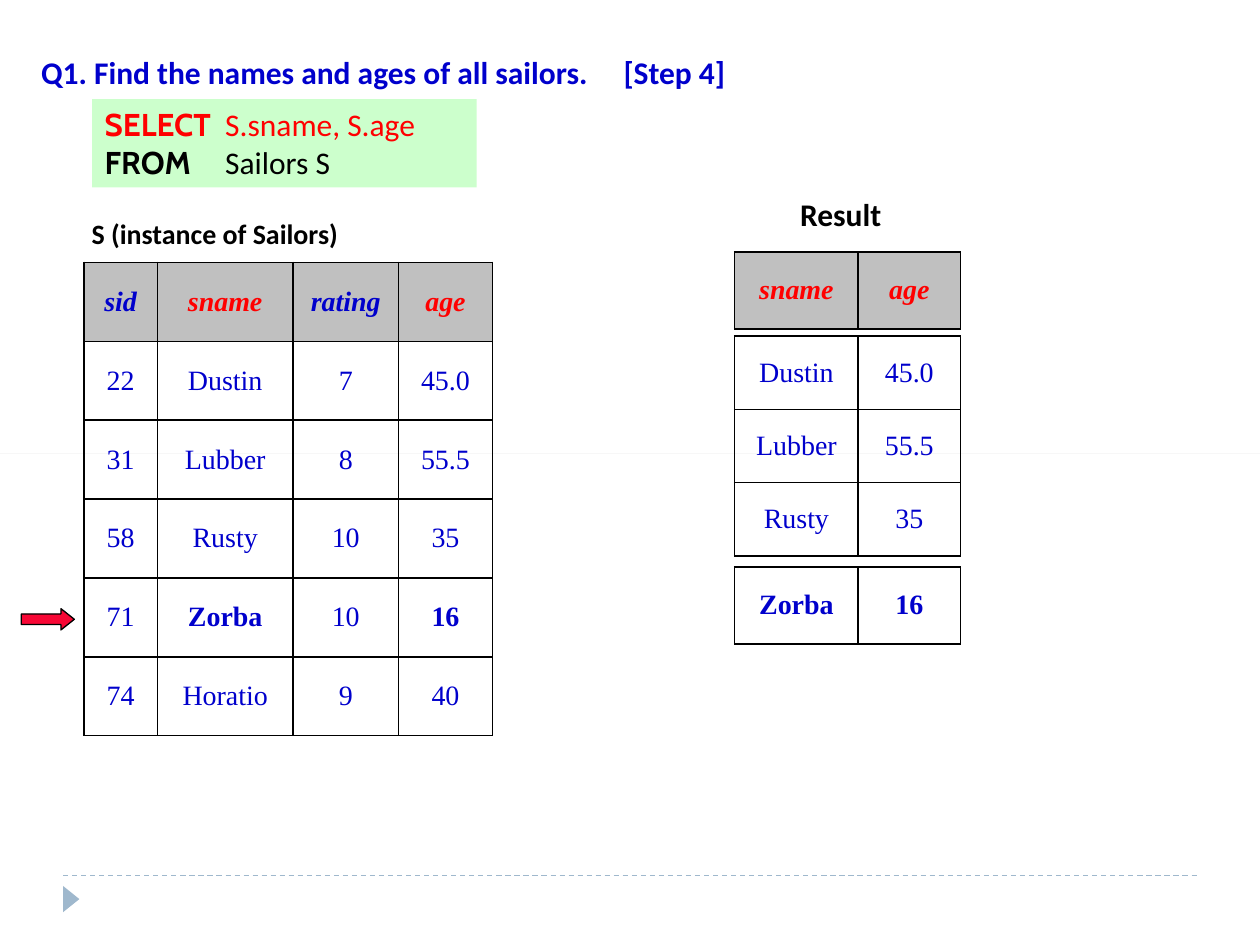
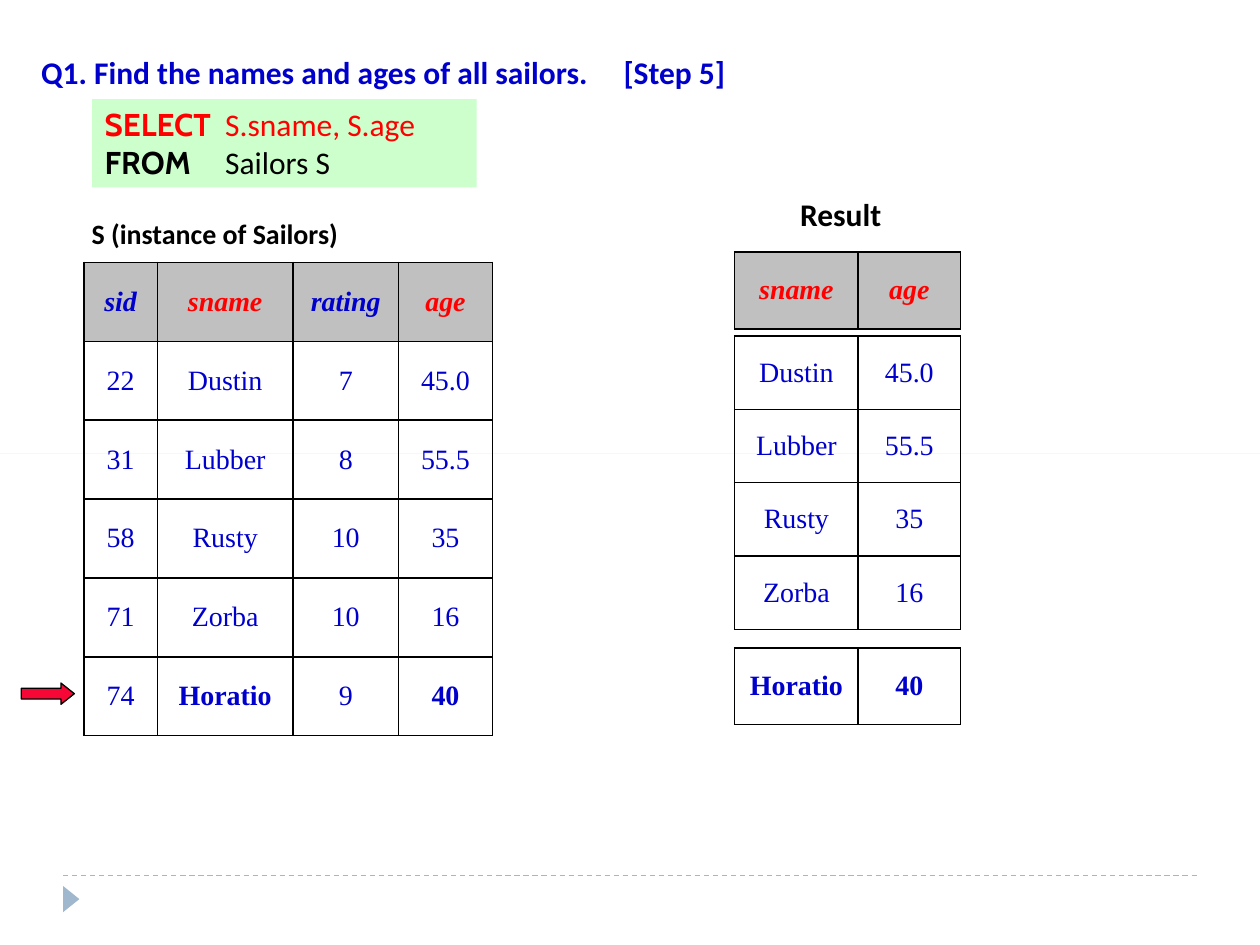
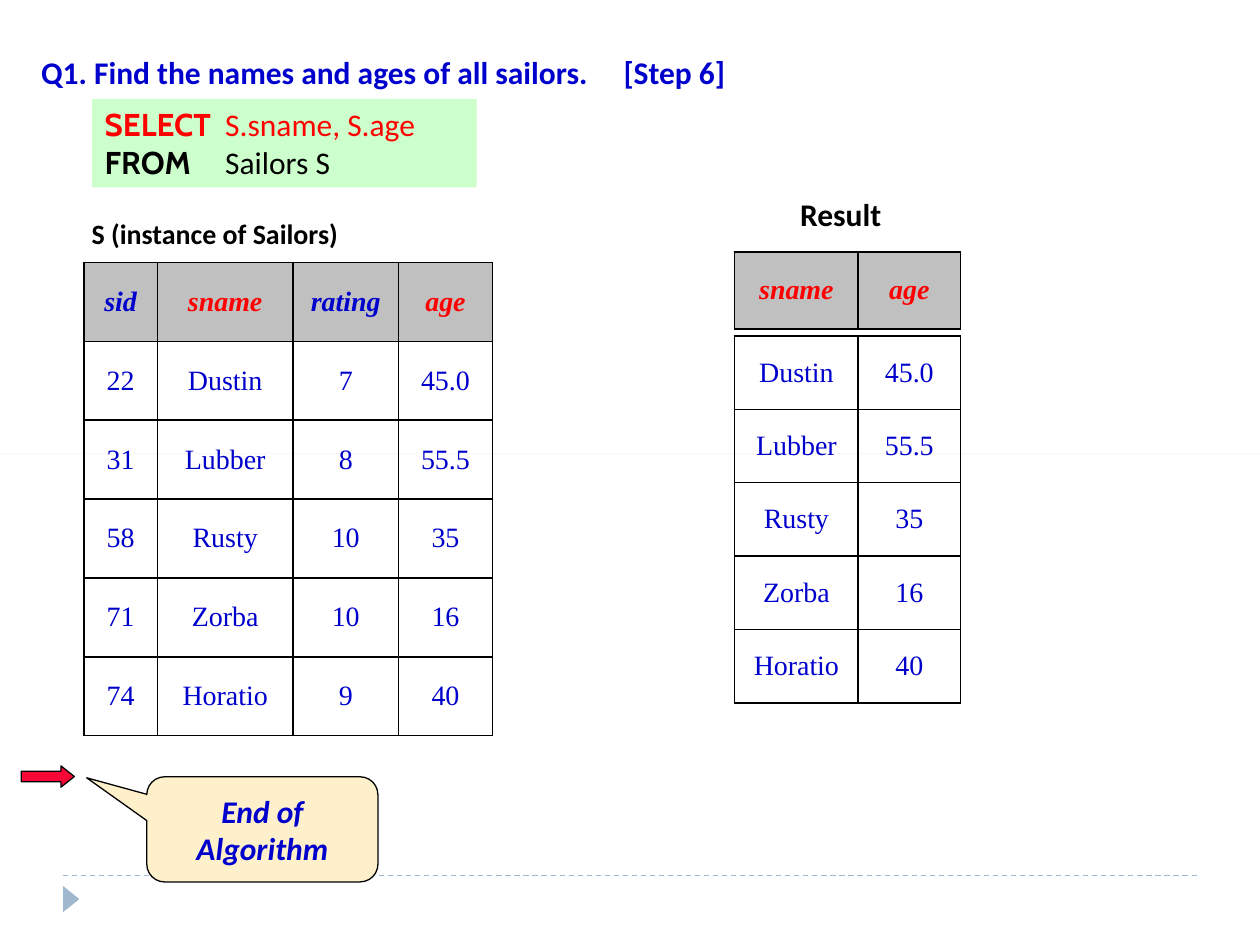
from lxml import etree
from pptx import Presentation
from pptx.dml.color import RGBColor
from pptx.enum.dml import MSO_LINE
from pptx.enum.shapes import MSO_CONNECTOR, MSO_SHAPE
from pptx.enum.text import MSO_ANCHOR, PP_ALIGN
from pptx.oxml.ns import qn
from pptx.util import Cm, Pt

STRAIGHT = MSO_CONNECTOR.STRAIGHT
DASH = MSO_LINE.DASH
RECTANGLE = MSO_SHAPE.RECTANGLE
TRIANGLE = MSO_SHAPE.ISOSCELES_TRIANGLE
RIGHT_ARROW = MSO_SHAPE.RIGHT_ARROW
CALLOUT = MSO_SHAPE.ROUNDED_RECTANGULAR_CALLOUT
TOP, MIDDLE = MSO_ANCHOR.TOP, MSO_ANCHOR.MIDDLE
LEFT, CENTER = PP_ALIGN.LEFT, PP_ALIGN.CENTER

BLUE, RED, BLACK = "0000CC", "FF0000", "000000"
GRAY, STEEL, GREEN = "C0C0C0", "9FB8CD", "CCFFCC"
ARROW_RED, CREAM = "F70735", "FDF0CA"
BODY, KEYWORD, TABLE = "Calibri", "Cabin", "Times New Roman"

COLUMNS = ["sid", "sname", "rating", "age"]
SELECTED = ["sname", "age"]
SAILORS = [
    ["22", "Dustin", "7", "45.0"],
    ["31", "Lubber", "8", "55.5"],
    ["58", "Rusty", "10", "35"],
    ["71", "Zorba", "10", "16"],
    ["74", "Horatio", "9", "40"],
]
SAILORS_WIDTHS = [1.48, 2.74, 2.12, 1.9]
RESULT_WIDTHS = [2.49, 2.06]
RESULT_LEFT = 14.81
HEADER_HEIGHT, RESULT_HEIGHT, SAILORS_HEIGHT = 1.55, 1.48, 1.59

# Step number, top of the row pointer, top of the newly added result row
STEPS = [(4, 12.27, 11.43), (5, 13.77, 13.06), (6, 15.44, None)]


def rgb(color):
    return RGBColor.from_string(color)


def project(sailor):
    return [sailor[COLUMNS.index(name)] for name in SELECTED]


def add_tab_stop(paragraph, position):
    stops = etree.SubElement(paragraph._p.get_or_add_pPr(), qn("a:tabLst"))
    etree.SubElement(stops, qn("a:tab"), pos=str(Cm(position)), algn="l")


def add_borders(cell):
    properties = cell._tc.get_or_add_tcPr()
    for side in ("a:lnL", "a:lnR", "a:lnT", "a:lnB"):
        border = etree.SubElement(properties, qn(side), w=str(Pt(1)))
        fill = etree.SubElement(border, qn("a:solidFill"))
        etree.SubElement(fill, qn("a:srgbClr"), val=BLACK)


class Deck:
    def __init__(self):
        self.presentation = Presentation()
        self.presentation.slide_width = Cm(25.4)
        self.presentation.slide_height = Cm(19.05)
        self.slide = None

    def new_slide(self):
        blank = self.presentation.slide_layouts[6]
        self.slide = self.presentation.slides.add_slide(blank)
        self.dashed_line(1.27, 24.13, 17.65)
        self.shape(TRIANGLE, (1.17, 17.96, 0.53, 0.33), STEEL).rotation = 90
        self.shape(RECTANGLE, (0, 9.14, 25.4, 0), GRAY)

    def dashed_line(self, left, right, top):
        rule = self.slide.shapes.add_connector(
            STRAIGHT, Cm(left), Cm(top), Cm(right), Cm(top))
        rule.line.color.rgb = rgb(STEEL)
        rule.line.width = Pt(0.75)
        rule.line.dash_style = DASH
        etree.SubElement(rule._element.spPr, qn("a:effectLst"))

    def shape(self, preset, box, fill, outline=None, adjustments=()):
        shape = self.slide.shapes.add_shape(preset, *map(Cm, box))
        shape.shadow.inherit = False
        shape.fill.solid()
        shape.fill.fore_color.rgb = rgb(fill)
        if outline:
            shape.line.color.rgb = rgb(outline)
            shape.line.width = Pt(0.75)
        else:
            shape.line.fill.background()
        for index, value in enumerate(adjustments):
            shape.adjustments[index] = value
        return shape

    def style(self, run, color, size=18, font=BODY, bold=True, italic=False):
        run.font.name = font
        run.font.size = Pt(size)
        run.font.bold = bold
        run.font.italic = italic
        run.font.color.rgb = rgb(color)

    def fill_text(self, frame, text, color, align=LEFT, anchor=TOP, **look):
        frame.text = text
        frame.word_wrap = True
        frame.vertical_anchor = anchor
        for paragraph in frame.paragraphs:
            paragraph.alignment = align
            for run in paragraph.runs:
                self.style(run, color, **look)

    def label(self, text, box, color, size=18):
        frame = self.slide.shapes.add_textbox(*map(Cm, box)).text_frame
        self.fill_text(frame, text, color, size=size)
        return frame.paragraphs[0]

    def query(self, clauses, box):
        """Draw a query panel from (keyword, operand, colour) clauses."""
        frame = self.shape(RECTANGLE, box, GREEN).text_frame
        frame.text = "\n".join(keyword for keyword, _, _ in clauses)
        frame.vertical_anchor = TOP
        for paragraph, (_, operand, color) in zip(frame.paragraphs, clauses):
            paragraph.alignment = LEFT
            add_tab_stop(paragraph, 2.43)
            self.style(paragraph.runs[0], color, font=KEYWORD)
            run = paragraph.add_run()
            run.text = "\t" + operand
            self.style(run, color, bold=False)

    def table(self, rows, left, top, widths, height, header=False, bold_cells=()):
        """Draw rows; bold_cells holds the (row, column) pairs to set in bold."""
        table = self.slide.shapes.add_table(
            len(rows), len(widths), Cm(left), Cm(top),
            Cm(sum(widths)), Cm(height * len(rows))).table
        table.first_row = table.horz_banding = False
        for column, width in zip(table.columns, widths):
            column.width = Cm(width)
        for r, values in enumerate(rows):
            table.rows[r].height = Cm(height)
            is_header = header and r == 0
            for c, value in enumerate(values):
                cell = table.cell(r, c)
                add_borders(cell)
                if is_header:
                    cell.fill.solid()
                    cell.fill.fore_color.rgb = rgb(GRAY)
                else:
                    cell.fill.background()
                color = RED if is_header and value in SELECTED else BLUE
                self.fill_text(
                    cell.text_frame, value, color, CENTER, size=16, font=TABLE,
                    bold=is_header or (r, c) in bold_cells, italic=is_header)
                cell.vertical_anchor = MIDDLE

    def callout(self, text, box, adjustments):
        bubble = self.shape(CALLOUT, box, CREAM, BLACK, adjustments)
        self.fill_text(bubble.text_frame, text, BLUE, CENTER, MIDDLE, italic=True)


def build_step(deck, step, pointer_top, new_row_top):
    deck.new_slide()
    deck.shape(RIGHT_ARROW, (0.43, pointer_top, 1.07, 0.43), ARROW_RED, BLACK,
               (0.5, 0.63))

    deck.label("Result", (15.88, 3.81, 2.74, 1.02), BLACK)
    deck.table([SELECTED], RESULT_LEFT, 5.08, RESULT_WIDTHS, HEADER_HEIGHT,
               header=True)
    current = [(step, COLUMNS.index(name)) for name in SELECTED]
    deck.table([COLUMNS] + SAILORS, 1.69, 5.29, SAILORS_WIDTHS, SAILORS_HEIGHT,
               header=True, bold_cells=current)
    found = [project(sailor) for sailor in SAILORS[:step - 1]]
    deck.table(found, RESULT_LEFT, 6.77, RESULT_WIDTHS, RESULT_HEIGHT)

    deck.query([("SELECT", "S.sname, S.age", RED), ("FROM", "Sailors S", BLACK)],
               (1.86, 2, 7.75, 1.78))
    if new_row_top:
        deck.table([project(SAILORS[step - 1])], RESULT_LEFT, new_row_top,
                   RESULT_WIDTHS, HEADER_HEIGHT, bold_cells=[(0, 0), (0, 1)])
    else:
        deck.callout("End of\nAlgorithm", (2.96, 15.66, 4.66, 2.12),
                     (-0.76, -0.49, 0.17))

    title = deck.label(
        f"Q1. Find the names and ages of all sailors.\t[Step {step}]",
        (0.58, 0.94, 19.94, 1.02), BLUE)
    add_tab_stop(title, 11.74)
    deck.label("S (instance of Sailors)", (1.6, 4.24, 6.45, 0.94), BLACK, size=16)


def main():
    deck = Deck()
    for step in STEPS:
        build_step(deck, *step)
    deck.presentation.save("out.pptx")


if __name__ == "__main__":
    main()
